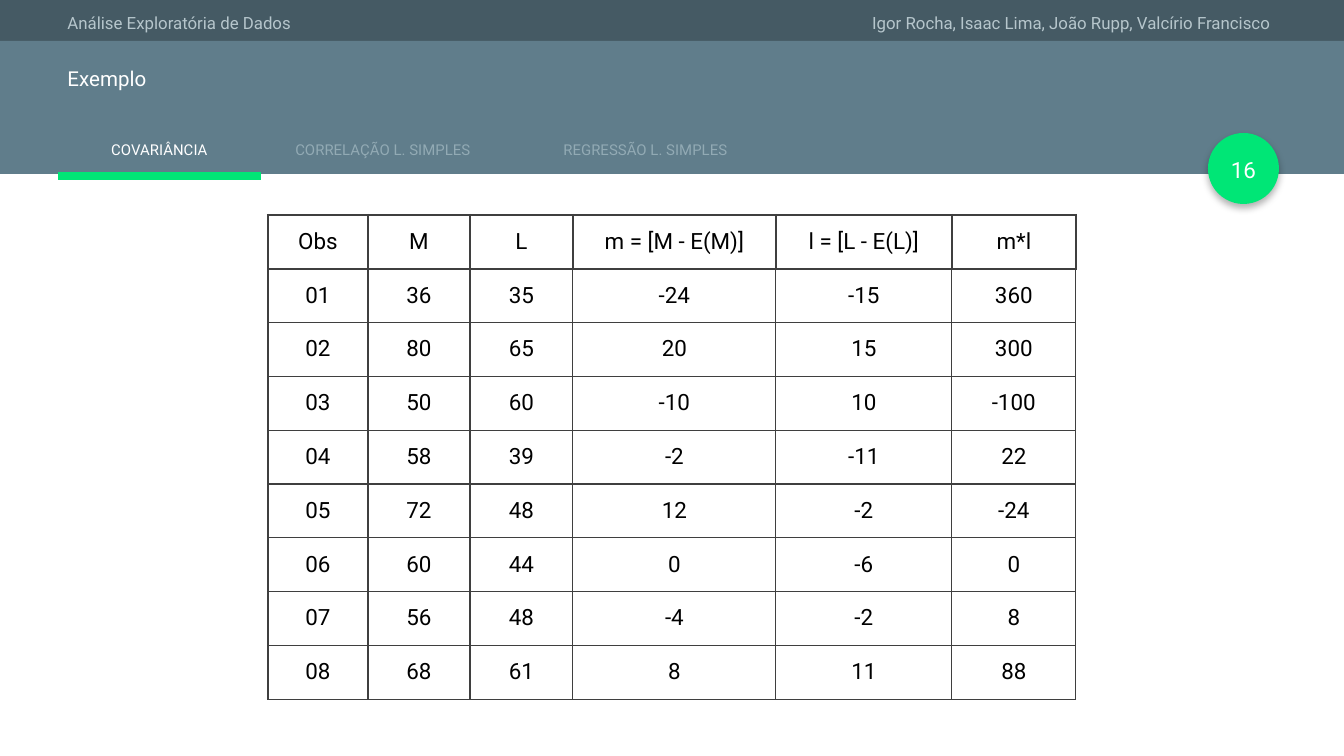
from lxml import etree
from pptx import Presentation
from pptx import util as u
from pptx.dml.color import RGBColor
from pptx.enum import shapes, text
from pptx.oxml import parse_xml
from pptx.oxml.ns import nsdecls, qn

PX = u.Inches(10) / 1344
FONT = "Roboto"
SLATE_DARK = RGBColor(0x45, 0x5A, 0x64)
SLATE = RGBColor(0x60, 0x7D, 0x8B)
GREEN = RGBColor(0x00, 0xE6, 0x76)
WHITE = RGBColor(0xFF, 0xFF, 0xFF)
PALE = RGBColor(0xB6, 0xC6, 0xCC)
MUTED = RGBColor(0x92, 0xAA, 0xB4)
BLACK = RGBColor(0x00, 0x00, 0x00)
GRID = RGBColor(0x3F, 0x3F, 0x3F)

LEFT, CENTER, RIGHT = text.PP_ALIGN.LEFT, text.PP_ALIGN.CENTER, text.PP_ALIGN.RIGHT
TOP, MIDDLE = text.MSO_ANCHOR.TOP, text.MSO_ANCHOR.MIDDLE
RECTANGLE, OVAL = shapes.MSO_SHAPE.RECTANGLE, shapes.MSO_SHAPE.OVAL

BARS = [
    (RECTANGLE, (0, 0, 1344, 41), SLATE_DARK),
    (RECTANGLE, (0, 41, 1344, 133), SLATE),
]
BADGE = (OVAL, (1208, 133, 71, 71), GREEN)
TAB_LINE = (58, 261, 176)

LABELS = [
    ("Análise Exploratória de Dados", (58, 7, 560, 31), 9, PALE, LEFT, TOP),
    ("Igor Rocha, Isaac Lima, João Rupp, Valcírio Francisco",
     (719, 7, 560, 31), 9, PALE, RIGHT, TOP),
    ("Exemplo", (58, 63, 1238, 47), 11, WHITE, LEFT, TOP),
    ("COVARIÂNCIA", (58, 136, 203, 27), 8, WHITE, CENTER, MIDDLE),
    ("CORRELAÇÃO L. SIMPLES", (274, 136, 218, 27), 8, MUTED, CENTER, MIDDLE),
    ("REGRESSÃO L. SIMPLES", (544, 136, 203, 27), 8, MUTED, CENTER, MIDDLE),
    ("16", (1204, 136, 79, 67), 12, WHITE, CENTER, MIDDLE),
]

TABLE_LEFT, TABLE_TOP, ROW_HEIGHT = 268, 215, 47
COLUMN_WIDTHS = [100, 102, 103, 203, 176, 124]
HEADER = ["Obs", "M", "L", "m = [M - E(M)]", "l = [L - E(L)]", "m*l"]
OBSERVATIONS = [
    ("01", 36, 35, -24, -15, 360),
    ("02", 80, 65, 20, 15, 300),
    ("03", 50, 60, -10, 10, -100),
    ("04", 58, 39, -2, -11, 22),
    ("05", 72, 48, 12, -2, -24),
    ("06", 60, 44, 0, -6, 0),
    ("07", 56, 48, -4, -2, 8),
    ("08", 68, 61, 8, 11, 88),
]


def px(length):
    return u.Emu(round(length * PX))


def write(frame, words, size, color, align):
    paragraph = frame.paragraphs[0]
    paragraph.alignment = align
    run = paragraph.add_run()
    run.text = words
    run.font.size = u.Pt(size)
    run.font.name = FONT
    run.font.color.rgb = color
    return paragraph


def add_filled(slide, kind, box, color):
    shape = slide.shapes.add_shape(kind, *map(px, box))
    shape.shadow.inherit = False
    shape.fill.solid()
    shape.fill.fore_color.rgb = color
    shape.line.fill.background()
    return shape


def add_drop_shadow(shape):
    effects = shape._element.spPr.find(qn("a:effectLst"))
    effects.append(parse_xml(
        f'<a:outerShdw {nsdecls("a")} blurRad="{u.Pt(4)}" dist="{u.Pt(2)}" '
        'dir="5400000" algn="t" rotWithShape="0"><a:srgbClr val="000000">'
        '<a:alpha val="30000"/></a:srgbClr></a:outerShdw>'))


def add_label(slide, words, box, size, color, align, anchor):
    frame = slide.shapes.add_textbox(*map(px, box)).text_frame
    frame.word_wrap = True
    frame.vertical_anchor = anchor
    frame.margin_left = frame.margin_right = u.Inches(0.07)
    frame.margin_top = frame.margin_bottom = u.Inches(0.04)
    return write(frame, words, size, color, align)


def add_tab_line(slide, start, end, y):
    line = slide.shapes.add_connector(
        shapes.MSO_CONNECTOR.STRAIGHT, px(start), px(y), px(end), px(y))
    line.line.color.rgb = GREEN
    line.line.width = u.Pt(4.5)
    etree.SubElement(line._element.spPr, qn("a:effectLst"))


def set_borders(cell, widths):
    properties = cell._tc.get_or_add_tcPr()
    for index, (side, width) in enumerate(widths.items()):
        properties.insert(index, parse_xml(
            f'<a:ln{side} {nsdecls("a")} w="{u.Pt(width)}"><a:solidFill>'
            f'<a:srgbClr val="{GRID}"/></a:solidFill></a:ln{side}>'))


def add_data_table(slide):
    rows = [HEADER, *OBSERVATIONS]
    table = slide.shapes.add_table(
        len(rows), len(HEADER), px(TABLE_LEFT), px(TABLE_TOP),
        px(sum(COLUMN_WIDTHS)), px(ROW_HEIGHT * len(rows))).table
    table.first_row = table.horz_banding = False
    for column, width in zip(table.columns, COLUMN_WIDTHS):
        column.width = px(width)
    for r, row in enumerate(rows):
        table.rows[r].height = px(ROW_HEIGHT)
        edge = 1.5 if r == 0 else 0.75
        top = 1.5 if r <= 1 else 0.75
        for c, value in enumerate(row):
            cell = table.cell(r, c)
            cell.margin_left = cell.margin_right = u.Inches(0.1)
            cell.margin_top = cell.margin_bottom = u.Inches(0.1)
            cell.fill.background()
            set_borders(cell, {"L": edge, "R": edge, "T": top, "B": edge})
            write(cell.text_frame, str(value), 12, BLACK, CENTER)


def main():
    presentation = Presentation()
    presentation.slide_width, presentation.slide_height = px(1344), px(756)
    slide = presentation.slides.add_slide(presentation.slide_layouts[6])
    for bar in BARS:
        add_filled(slide, *bar)
    add_drop_shadow(add_filled(slide, *BADGE))
    add_tab_line(slide, *TAB_LINE)
    for label in LABELS:
        paragraph = add_label(slide, *label)
        if label[0] == "Exemplo":
            paragraph.line_spacing = 0.9
    add_data_table(slide)
    presentation.save("out.pptx")


if __name__ == "__main__":
    main()
